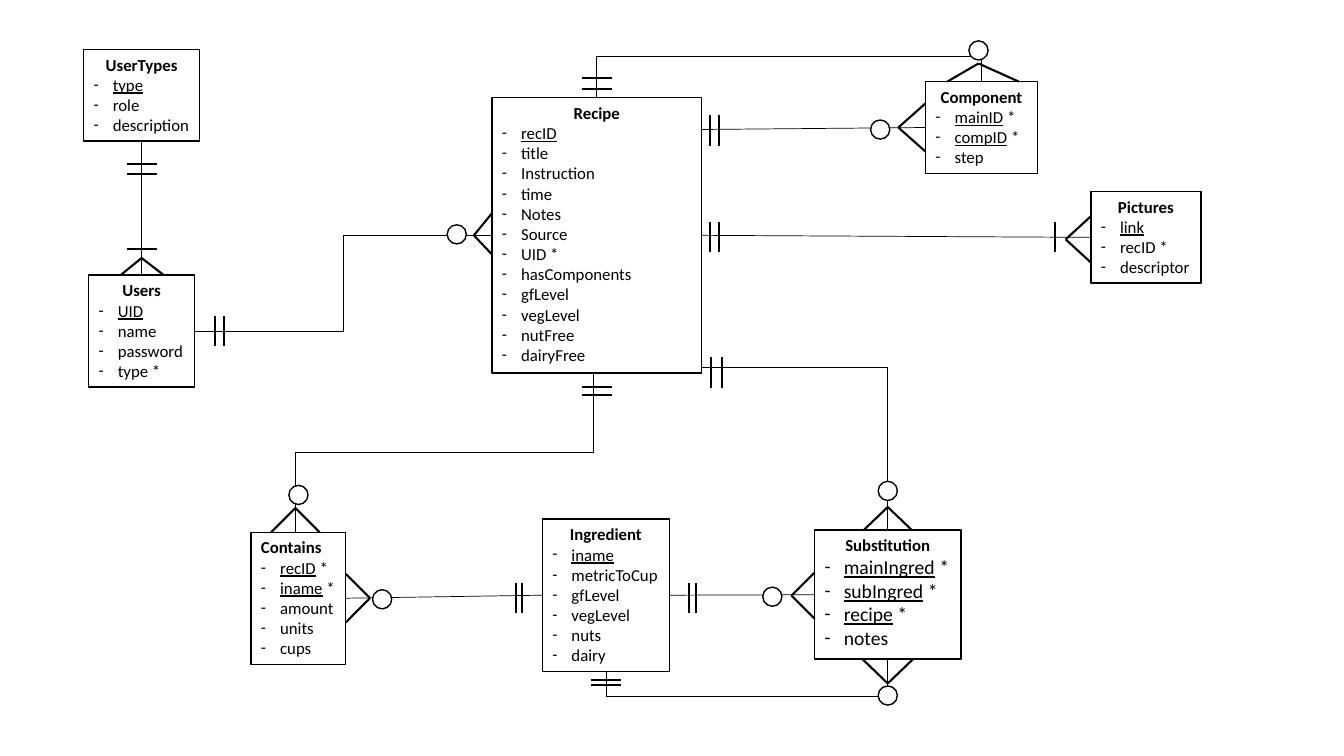
import pptx
import pptx.dml.color
import pptx.enum.shapes
import pptx.enum.text
import pptx.oxml
import pptx.oxml.ns
import pptx.util

Inches, Pt = pptx.util.Inches, pptx.util.Pt
CONNECTOR = pptx.enum.shapes.MSO_CONNECTOR
COLORS = {"ink": "000000", "paper": "FFFFFF"}
FONT = "Calibri"

# Outward direction and connection site of each side
SIDES = {"top": (0, -1), "left": (-1, 0), "bottom": (0, 1), "right": (1, 0)}
SITES = {"top": 0, "left": 1, "bottom": 2, "right": 3}

# name: box (left, top, width, height), key attributes, other attributes
ENTITIES = {
    "Recipe": ((4.88, 0.97, 2.08, 2.73), ["recID"],
               ["title", "Instruction", "time", "Notes", "Source", "UID *", "hasComponents",
                "gfLevel", "vegLevel", "nutFree", "dairyFree"]),
    "Component": ((9.18, 0.81, 1.11, 0.91), ["mainID *", "compID *"], ["step"]),
    "UserTypes": ((0.83, 0.49, 1.15, 0.91), ["type"], ["role", "description"]),
    "Users": ((0.88, 2.73, 1.05, 1.11), ["UID"], ["name", "password", "type *"]),
    "Pictures": ((10.82, 1.9, 1.09, 0.91), ["link"], ["recID *", "descriptor"]),
    "Substitution": ((8.08, 5.26, 1.45, 1.28), ["mainIngred *", "subIngred *", "recipe *"],
                     ["notes"]),
    "Contains": ((2.49, 5.28, 0.94, 1.31), ["recID *", "iname *"], ["amount", "units", "cups"]),
    "Ingredient": ((5.38, 5.15, 1.26, 1.51), ["iname"],
                   ["metricToCup", "gfLevel", "vegLevel", "nuts", "dairy"]),
}

# Straight relations between side middles
STRAIGHT = [
    ("Contains", "right", "Ingredient", "left"),
    ("UserTypes", "bottom", "Users", "top"),
    ("Ingredient", "right", "Substitution", "left"),
    ("Recipe", "right", "Pictures", "left"),
]

# Relations that leave and arrive on the same side: entities, side, distance of the level run
LOOPS = [
    ("Ingredient", "Substitution", "bottom", 0.25),
    ("Recipe", "Component", "top", 0.41),
]

# Cross bars: entity, side, shift along the side, distances from the side
BARS = [
    ("UserTypes", "bottom", 0, (0.23, 0.33)),
    ("Users", "top", 0, (0.26,)),
    ("Users", "right", 0, (0.2, 0.29)),
    ("Recipe", "top", 0, (0.09, 0.2)),
    ("Recipe", "bottom", 0, (0.14, 0.22)),
    ("Recipe", "right", -1.04, (0.08, 0.17)),
    ("Recipe", "right", 0.02, (0.08, 0.17)),
    ("Recipe", "right", 1.36, (0.09, 0.2)),
    ("Pictures", "left", 0, (0.36,)),
    ("Ingredient", "left", 0.03, (0.2, 0.26)),
    ("Ingredient", "right", 0.03, (0.19, 0.26)),
    ("Ingredient", "bottom", 0, (0.09, 0.14)),
]

# Crow's feet: entity, side, shift, tip distance, spread each way, ring (shift, distance)
CROW_FEET = [
    ("Users", "top", 0, 0.17, (-0.21, 0.22), None),
    ("Recipe", "left", 0, 0.18, (-0.22, 0.19), (-0.01, 0.35)),
    ("Contains", "top", -0.03, 0.24, (-0.24, 0.24), (0, 0.37)),
    ("Contains", "right", 0, 0.24, (-0.24, 0.24), (0.01, 0.36)),
    ("Substitution", "left", 0.01, 0.23, (-0.23, 0.23), (0.02, 0.42)),
    ("Substitution", "top", 0, 0.23, (-0.24, 0.24), (0, 0.39)),
    ("Substitution", "bottom", 0, 0.24, (-0.25, 0.25), (0, 0.36)),
    ("Pictures", "left", 0.02, 0.25, (-0.23, 0.23), None),
    ("Component", "left", 0, 0.27, (-0.24, 0.24), (0.02, 0.45)),
    ("Component", "top", -0.03, 0.18, (-0.31, 0.4), (-0.03, 0.31)),
]


def rgb(name):
    return pptx.dml.color.RGBColor.from_string(COLORS[name])


def xml(markup):
    return pptx.oxml.parse_xml(markup % pptx.oxml.ns.nsdecls("a"))


def place(entity, side, shift=0, out=0):
    """Point at a shift along a side from its middle, and a distance out from it."""
    left, top, width, height = ENTITIES[entity][0]
    dx, dy = SIDES[side]
    x = left + width / 2 + dx * (width / 2 + out) + abs(dy) * shift
    y = top + height / 2 + dy * (height / 2 + out) + abs(dx) * shift
    return x, y


def add_line(slide, start, end, weight, kind=CONNECTOR.STRAIGHT):
    ln = slide.shapes.add_connector(kind, *(Inches(v) for v in (*start, *end)))
    ln.line.color.rgb = rgb("ink")
    ln.line.width = Pt(weight)
    ln._element.spPr.append(xml("<a:effectLst %s/>"))
    return ln


def style_box(sp):
    sp.fill.solid()
    sp.fill.fore_color.rgb = rgb("paper")
    sp.line.color.rgb = rgb("ink")
    sp.line.width = Pt(1)


def add_run(p, text, size, bold=False, underline=False):
    r = p.add_run()
    r.text = text
    r.font.name, r.font.size = FONT, Pt(size)
    r.font.bold, r.font.underline = bold, underline
    r.font.color.rgb = rgb("ink")


def add_entity(slide, name):
    box, keys, others = ENTITIES[name]
    sp = slide.shapes.add_textbox(*(Inches(v) for v in box))
    style_box(sp)
    tf = sp.text_frame
    tf.word_wrap = name == "Recipe"
    tf.auto_size = pptx.enum.text.MSO_AUTO_SIZE.SHAPE_TO_FIT_TEXT
    if name != "Contains":
        tf.paragraphs[0].alignment = pptx.enum.text.PP_ALIGN.CENTER
    add_run(tf.paragraphs[0], name, 12, bold=True)
    size = 14 if name == "Substitution" else 12
    for attribute in keys + others:
        p = tf.add_paragraph()
        pPr = p._p.get_or_add_pPr()
        pPr.set("marL", str(Inches(0.19)))
        pPr.set("indent", str(-Inches(0.19)))
        pPr.append(xml('<a:buFont %s typeface="' + FONT + '"/>'))
        pPr.append(xml('<a:buChar %s char="-"/>'))
        word, star, _ = attribute.partition(" *")
        add_run(p, word, size, underline=attribute in keys)
        if star:
            add_run(p, star, size)
    return sp


def add_corner(slide, start, end):
    """Level run from start, then one turn up or down to end."""
    ln = add_line(slide, start, end, 0.5, CONNECTOR.ELBOW)
    ln._element.spPr.find(pptx.oxml.ns.qn("a:prstGeom")).set("prst", "bentConnector2")


def add_upright_elbow(slide, start, end):
    """Elbow from lower left to upper right that leaves and arrives vertically."""
    (x1, y1), (x2, y2) = start, end
    cx, cy, run, rise = (x1 + x2) / 2, (y1 + y2) / 2, x2 - x1, y1 - y2
    ln = add_line(slide, (cx - rise / 2, cy - run / 2), (cx + rise / 2, cy + run / 2),
                  0.5, CONNECTOR.ELBOW)
    ln._element.spPr.xfrm.set("rot", str(270 * 60000))


def add_relations(slide, boxes):
    for source, side, target, target_side in STRAIGHT:
        ln = add_line(slide, place(source, side), place(target, target_side), 0.5)
        ln.begin_connect(boxes[source], SITES[side])
        ln.end_connect(boxes[target], SITES[target_side])
    ln = add_line(slide, place("Recipe", "right", -1.05), place("Component", "left"), 0.5)
    ln.end_connect(boxes["Component"], SITES["left"])
    for source, target, side, out in LOOPS:
        turn = place(source, side, 0, out)
        ln = add_line(slide, place(source, side), turn, 0.5)
        ln.begin_connect(boxes[source], SITES[side])
        add_corner(slide, turn, place(target, side))
    add_corner(slide, place("Recipe", "right", 1.31), place("Substitution", "top"))
    add_upright_elbow(slide, place("Contains", "top", -0.03), place("Recipe", "bottom", -0.03))
    add_line(slide, place("Users", "right"), place("Recipe", "left"), 0.5, CONNECTOR.ELBOW)


def add_bars(slide, entity, side, shift, distances):
    for out in distances:
        add_line(slide, place(entity, side, shift - 0.15, out),
                 place(entity, side, shift + 0.15, out), 1.5)


def add_crow_foot(slide, entity, side, shift, tip, spreads, ring):
    for spread in spreads:
        add_line(slide, place(entity, side, shift, tip),
                 place(entity, side, shift + spread), 1.5)
    if ring:
        size = 0.19
        x, y = place(entity, side, *ring)
        sp = slide.shapes.add_shape(
            pptx.enum.shapes.MSO_SHAPE.OVAL, Inches(x - size / 2), Inches(y - size / 2),
            Inches(size), Inches(size))
        sp.shadow.inherit = False
        style_box(sp)


def main():
    prs = pptx.Presentation()
    prs.slide_width, prs.slide_height = Inches(13.33), Inches(7.5)
    slide = prs.slides.add_slide(prs.slide_layouts[6])
    # Entities, then the relations and their end marks
    boxes = {name: add_entity(slide, name) for name in ENTITIES}
    add_relations(slide, boxes)
    for bars in BARS:
        add_bars(slide, *bars)
    for foot in CROW_FEET:
        add_crow_foot(slide, *foot)
    prs.save("out.pptx")


if __name__ == "__main__":
    main()
